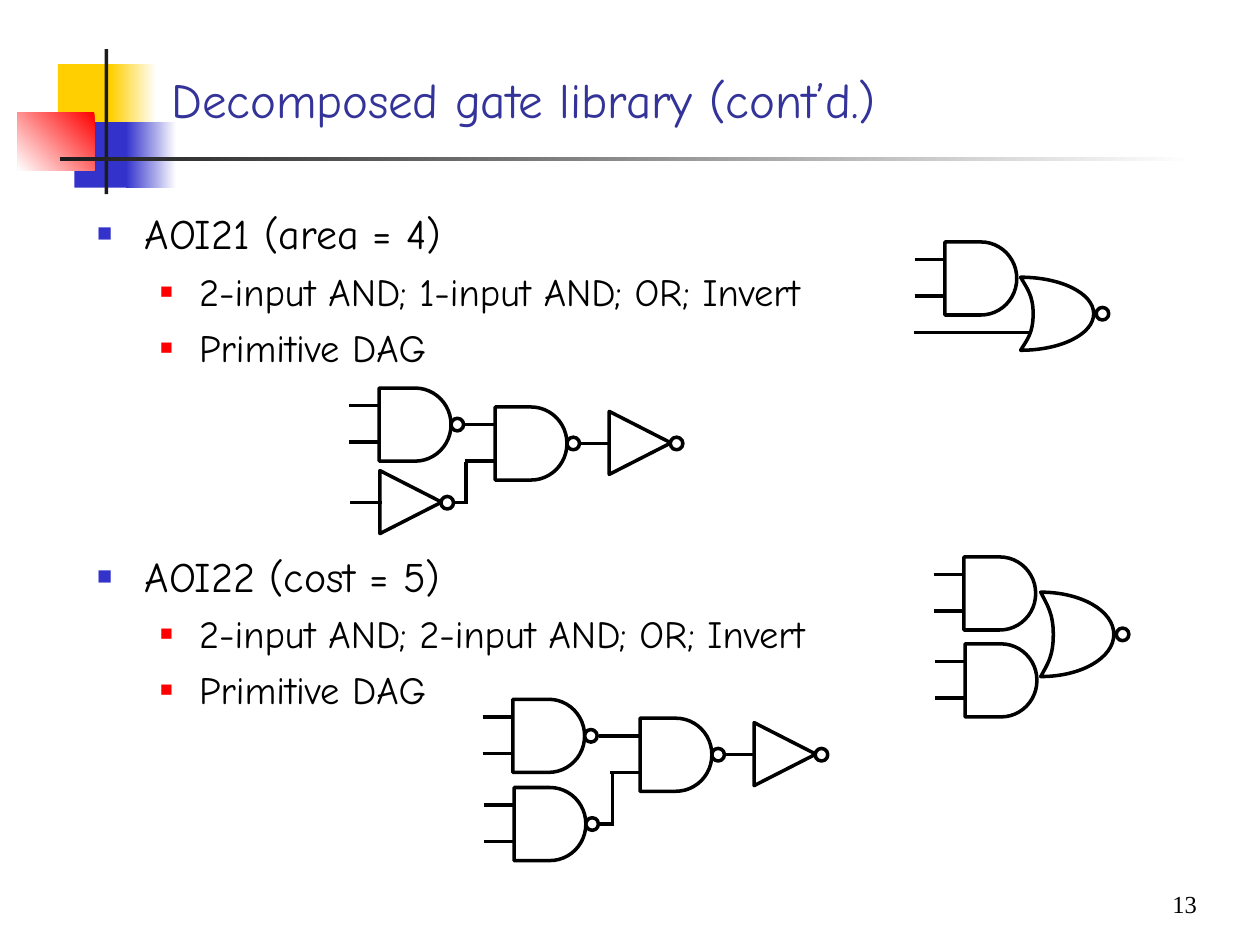
from dataclasses import dataclass

import pptx
import pptx.dml.color
import pptx.enum.shapes
import pptx.enum.text
import pptx.oxml.ns
import pptx.util
from lxml import etree

Inches = pptx.util.Inches
Pt = pptx.util.Pt
rgb = pptx.dml.color.RGBColor.from_string
qn = pptx.oxml.ns.qn
Shape = pptx.enum.shapes.MSO_SHAPE


@dataclass(frozen=True)
class Theme:
    font: str = "Comic Neue"
    number_font: str = "Times New Roman"
    white: str = "FFFFFF"
    black: str = "000000"
    dark: str = "1C1C1C"
    yellow: str = "FFCF01"
    blue: str = "3333CC"
    red: str = "FF0000"
    title: str = "333399"
    title_size: int = 28
    item_size: int = 24
    subitem_size: int = 22
    number_size: int = 14
    stroke: int = 2


theme = Theme()


def add_part(group, kind, left, top, width, height, rotation=0):
    """Add a white gate part with a black outline."""
    part = group.shapes.add_shape(kind, Inches(left), Inches(top), Inches(width), Inches(height))
    part.rotation = rotation
    part.shadow.inherit = False
    part.fill.solid()
    part.fill.fore_color.rgb = rgb(theme.white)
    part.line.color.rgb = rgb(theme.black)
    part.line.width = Pt(theme.stroke)


def add_wire(group, x1, y1, x2, y2):
    wire = group.shapes.add_connector(
        pptx.enum.shapes.MSO_CONNECTOR.STRAIGHT, Inches(x1), Inches(y1), Inches(x2), Inches(y2))
    wire.line.color.rgb = rgb(theme.black)
    wire.line.width = Pt(theme.stroke)
    etree.SubElement(wire._element.spPr, qn("a:effectLst"))


presentation = pptx.Presentation()
presentation.slide_width = Inches(10)
presentation.slide_height = Inches(7.5)
slide = presentation.slides.add_slide(presentation.slide_layouts[1])

# Corner ornament: left, top, width, height, colours, gradient angle
ornament = [
    (0.46, 0.51, 0.48, 0.52, [theme.yellow], 0),
    (0.88, 0.51, 0.36, 0.52, [theme.white, theme.yellow], 180),
    (0.59, 0.97, 0.46, 0.52, [theme.blue], 0),
    (1, 0.97, 0.4, 0.52, [theme.white, theme.blue], 180),
    (0.14, 0.89, 0.61, 0.46, [theme.red, theme.white], 225),
    (0.83, 0.39, 0.03, 1.15, [theme.dark], 0),
    (0.48, 1.25, 9, 0.03, [theme.white, theme.dark], 180),
]
ornament_group = slide.shapes.add_group_shape()
for left, top, width, height, colours, angle in ornament:
    block = ornament_group.shapes.add_shape(
        Shape.RECTANGLE, Inches(left), Inches(top), Inches(width), Inches(height))
    block.shadow.inherit = False
    block.line.fill.background()
    if len(colours) == 1:
        block.fill.solid()
        block.fill.fore_color.rgb = rgb(colours[0])
    else:
        block.fill.gradient()
        block.fill.gradient_angle = angle
        for stop, colour in zip(block.fill.gradient_stops, colours):
            stop.color.rgb = rgb(colour)

# Title and list, in front of the ornament
title, body = slide.shapes.title, slide.placeholders[1]
for placeholder, box in ((title, (1.26, 0.22, 8.52, 0.85)), (body, (0.67, 1.6, 8.5, 5.2))):
    slide.shapes._spTree.append(placeholder._element)
    placeholder.left, placeholder.top, placeholder.width, placeholder.height = map(Inches, box)
    placeholder.text_frame.auto_size = pptx.enum.text.MSO_AUTO_SIZE.NONE

title.text_frame.vertical_anchor = pptx.enum.text.MSO_ANCHOR.BOTTOM
paragraph = title.text_frame.paragraphs[0]
paragraph.alignment = pptx.enum.text.PP_ALIGN.LEFT
run = paragraph.add_run()
run.text = "Decomposed gate library (cont’d.)"
run.font.name = theme.font
run.font.size = Pt(theme.title_size)
run.font.color.rgb = rgb(theme.title)

# Per level: size, margin, indent, bullet colour, bullet percentage
levels = [
    (theme.item_size, 0.38, -0.38, theme.blue, 60),
    (theme.subitem_size, 0.81, -0.31, theme.red, 55),
]
# Level, space before, text
items = [
    (0, 6, "AOI21 (area = 4)"),
    (1, 5.5, "2-input AND; 1-input AND; OR; Invert"),
    (1, 5.5, "Primitive DAG"),
    (0, 103, "AOI22 (cost = 5)"),
    (1, 5.5, "2-input AND; 2-input AND; OR; Invert"),
    (1, 5.5, "Primitive DAG"),
]
for index, (level, space, text) in enumerate(items):
    size, margin, indent, bullet_colour, percent = levels[level]
    frame = body.text_frame
    paragraph = frame.add_paragraph() if index else frame.paragraphs[0]
    paragraph.level = level
    paragraph.space_before = Pt(space)
    properties = paragraph._p.get_or_add_pPr()
    properties.set("marL", str(Inches(margin)))
    properties.set("indent", str(Inches(indent)))
    colour = etree.SubElement(properties, qn("a:buClr"))
    etree.SubElement(colour, qn("a:srgbClr"), val=bullet_colour)
    etree.SubElement(properties, qn("a:buSzPct"), val=str(percent * 1000))
    etree.SubElement(properties, qn("a:buChar"), char="■")
    run = paragraph.add_run()
    run.text = text
    run.font.name = theme.font
    run.font.size = Pt(size)
    run.font.color.rgb = rgb(theme.black)

# and: left, top, has bubble, length of the upper input; or: left, top, height
# not: left, top; wires: x1, y1, x2, y2
circuits = [
    {"and": [(7.5, 1.92, False, 0.24)], "or": [(8.1, 2.2, 0.58)],
     "wires": [(7.25, 2.64, 8.17, 2.64)]},
    {"and": [(7.65, 4.42, False, 0.24), (7.66, 5.11, False, 0.24)], "or": [(8.26, 4.7, 0.67)]},
    {"and": [(4.08, 6.25, True, 0.24), (4.07, 5.55, True, 0.24), (5.08, 5.7, True, 0.33)],
     "not": [(5.98, 5.74)],
     "wires": [(4.86, 6.14, 4.86, 6.54), (4.76, 6.54, 4.87, 6.54)]},
    {"and": [(3.01, 3.08, True, 0.24), (3.93, 3.23, True, 0.24)],
     "not": [(3.01, 3.74), (4.83, 3.27)],
     "wires": [(3.7, 3.67, 3.7, 4), (3.61, 3.99, 3.69, 3.99)]},
]
bubble = 0.1
for circuit in circuits:
    group = slide.shapes.add_group_shape()
    for left, top, inverted, upper_input in circuit["and"]:
        add_part(group, Shape.FLOWCHART_DELAY, left, top, 0.57, 0.58)
        if inverted:
            add_part(group, Shape.FLOWCHART_CONNECTOR, left + 0.57, top + 0.24, bubble, bubble)
        for drop, length in ((0.14, upper_input), (0.43, 0.24)):
            add_wire(group, left - length, top + drop, left + 0.01, top + drop)
    for left, top in circuit.get("not", []):
        add_part(group, Shape.FLOWCHART_MERGE, left, top, 0.5, 0.49, 270)
        add_part(group, Shape.FLOWCHART_CONNECTOR, left + 0.49, top + 0.2, bubble, bubble)
        add_wire(group, left - 0.23, top + 0.25, left + 0.02, top + 0.25)
    for wire in circuit.get("wires", []):
        add_wire(group, *wire)
    for left, top, height in circuit.get("or", []):
        # Bezier points as x offset and fraction of the height, three to a curve
        curve = [(0.05, 0.15), (0.1, 0.25), (0.1, 0.5), (0.1, 0.77), (0.05, 0.86), (0, 1),
                 (0.32, 1), (0.58, 0.78), (0.58, 0.5), (0.58, 0.22), (0.32, 0), (0, 0)]
        builder = group.shapes.build_freeform(Inches(left), Inches(top))
        builder.add_line_segments(
            [(Inches(left + x), Inches(top + y * height)) for x, y in curve], close=True)
        gate = builder.convert_to_shape()
        outline = next(gate._element.iter(qn("a:path")))
        segments = outline.findall(qn("a:lnTo"))
        for first, second, third in zip(segments[::3], segments[1::3], segments[2::3]):
            first.tag = qn("a:cubicBezTo")
            for extra in (second, third):
                first.append(extra[0])
                outline.remove(extra)
        gate.shadow.inherit = False
        gate.fill.solid()
        gate.fill.fore_color.rgb = rgb(theme.white)
        gate.line.color.rgb = rgb(theme.black)
        gate.line.width = Pt(theme.stroke)
        add_part(group, Shape.FLOWCHART_CONNECTOR,
                 left + 0.6, top + height / 2 - bubble / 2, bubble, bubble)

number_box = slide.shapes.add_textbox(Inches(7.42), Inches(6.92), Inches(2.08), Inches(0.5))
frame = number_box.text_frame
frame.word_wrap = True
frame.vertical_anchor = pptx.enum.text.MSO_ANCHOR.MIDDLE
frame.margin_left = Inches(1.4)
frame.margin_top = frame.margin_right = frame.margin_bottom = 0
paragraph = frame.paragraphs[0]
paragraph.alignment = pptx.enum.text.PP_ALIGN.RIGHT
run = paragraph.add_run()
run.text = "13"
run.font.name = theme.number_font
run.font.size = Pt(theme.number_size)
run.font.color.rgb = rgb(theme.black)

presentation.save("out.pptx")
